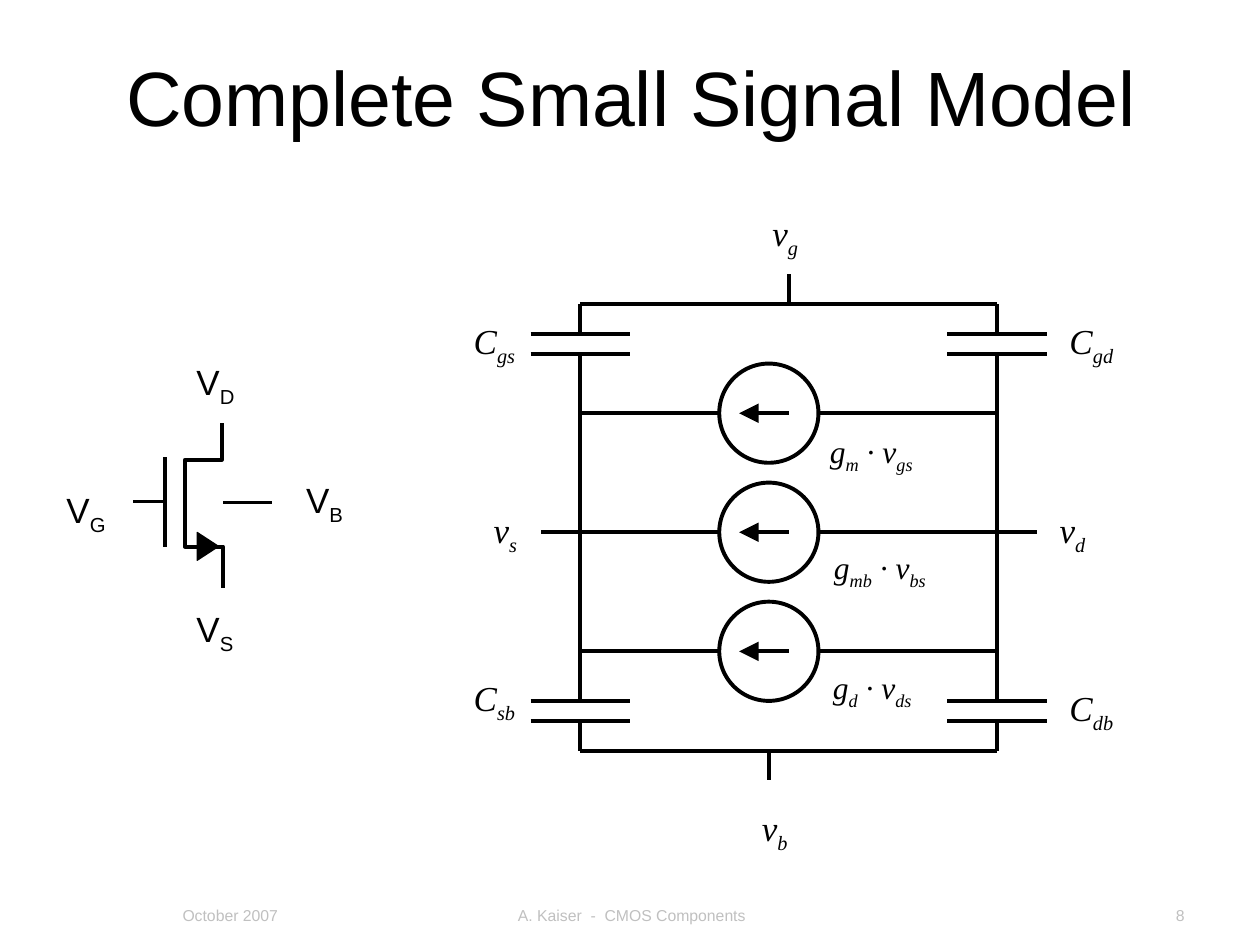
"""Build the slide showing the complete small signal model of a MOS transistor."""
from lxml import etree
from pptx import Presentation
from pptx.dml.color import RGBColor
from pptx.enum import shapes, text
from pptx.oxml import ns
from pptx.util import Cm, Pt

BLACK = RGBColor(0x00, 0x00, 0x00)
GREY = RGBColor(0xC0, 0xC0, 0xC0)
LINE_WIDTH = Pt(2.25)
ALIGN = text.PP_ALIGN

presentation = Presentation()
presentation.slide_width = Cm(25.4)
presentation.slide_height = Cm(19.05)
slide = presentation.slides.add_slide(presentation.slide_layouts[5])


def add_wire(x1, y1, x2, y2, arrow=False):
    """Draw a straight wire, with an arrowhead at its end on request."""
    wire = slide.shapes.add_connector(
        shapes.MSO_CONNECTOR.STRAIGHT, Cm(x1), Cm(y1), Cm(x2), Cm(y2))
    wire.line.color.rgb = BLACK
    wire.line.width = LINE_WIDTH
    properties = wire._element.spPr
    if arrow:
        etree.SubElement(properties.get_or_add_ln(), ns.qn("a:tailEnd"),
                         type="triangle", w="lg", len="lg")
    etree.SubElement(properties, ns.qn("a:effectLst"))


def add_text(left, top, width, height, runs, size, font, color=BLACK,
             italic=False, align=ALIGN.LEFT, wrap=True):
    """Add a text box whose runs alternate between normal and subscript."""
    box = slide.shapes.add_textbox(Cm(left), Cm(top), Cm(width), Cm(height))
    frame = box.text_frame
    frame.word_wrap = wrap
    if not wrap:
        frame.auto_size = text.MSO_AUTO_SIZE.SHAPE_TO_FIT_TEXT
    paragraph = frame.paragraphs[0]
    paragraph.alignment = align
    for index, content in enumerate(runs):
        run = paragraph.add_run()
        run.text = content
        run.font.name = font
        run.font.size = Pt(size)
        run.font.italic = italic
        run.font.color.rgb = color
        if index % 2:
            run._r.get_or_add_rPr().set("baseline", "-25000")


title = slide.shapes.title
title.left, title.top, title.width, title.height = Cm(1.3), Cm(0.33), Cm(22.86), Cm(3.18)
title.text_frame.vertical_anchor = text.MSO_ANCHOR.MIDDLE
title_paragraph = title.text_frame.paragraphs[0]
title_paragraph.alignment = ALIGN.CENTER
title_run = title_paragraph.add_run()
title_run.text = "Complete Small Signal Model"
title_run.font.name = "Arial"
title_run.font.size = Pt(44)
title_run.font.color.rgb = BLACK

for left, width, content, align in (
    (3.43, 4.88, "October 2007", ALIGN.LEFT),
    (8.71, 8.05, "A. Kaiser  -  CMOS Components", ALIGN.CENTER),
    (18.21, 5.92, "8", ALIGN.RIGHT),
):
    add_text(left, 18.14, width, 0.6, [content], 9, "Arial", GREY, align=align)

add_wire(3.33, 9.22, 3.33, 11.02)
add_wire(2.69, 10.11, 3.3, 10.11)
add_wire(4.5, 10.13, 5.49, 10.13)
channel_points = [(4.47, 8.53), (4.47, 9.27), (3.73, 9.27),
                  (3.73, 11.02), (4.5, 11.02), (4.5, 11.86)]
channel_points = [(Cm(x), Cm(y)) for x, y in channel_points]
builder = slide.shapes.build_freeform(*channel_points[0])
builder.add_line_segments(channel_points[1:], close=False)
channel = builder.convert_to_shape()
channel.shadow.inherit = False
channel.fill.background()
channel.line.color.rgb = BLACK
channel.line.width = LINE_WIDTH

source_arrow = slide.shapes.add_shape(
    shapes.MSO_SHAPE.ISOSCELES_TRIANGLE, Cm(3.91), Cm(10.8), Cm(0.56), Cm(0.43))
source_arrow.rotation = 90
source_arrow.shadow.inherit = False
source_arrow.fill.solid()
source_arrow.fill.fore_color.rgb = BLACK
source_arrow.line.color.rgb = BLACK
source_arrow.line.width = Pt(0.75)

LEFT, RIGHT, CENTER = 11.7, 20.1, 15.5
TOP, BOTTOM = 6.13, 15.13
RADIUS, LEAD = 1, 1.8

for row, overhang in ((8.33, 0), (10.73, 0.8), (13.13, 0)):
    circle = slide.shapes.add_shape(
        shapes.MSO_SHAPE.OVAL, Cm(CENTER - RADIUS), Cm(row - RADIUS),
        Cm(2 * RADIUS), Cm(2 * RADIUS))
    circle.shadow.inherit = False
    circle.fill.background()
    circle.line.color.rgb = BLACK
    circle.line.width = LINE_WIDTH
    add_wire(CENTER + 0.4, row, CENTER - 0.6, row, arrow=True)
    for side, rail in ((-1, LEFT), (1, RIGHT)):
        add_wire(CENTER + side * RADIUS, row, CENTER + side * LEAD, row)
        add_wire(CENTER + side * LEAD, row, rail + side * overhang, row)

for x in (LEFT, RIGHT):
    for y in (TOP, BOTTOM - 1.6):
        add_wire(x, y, x, y + 0.6)
        add_wire(x - 1, y + 0.6, x + 1, y + 0.6)
        add_wire(x - 1, y + 1, x + 1, y + 1)
        add_wire(x, y + 1, x, y + 1.6)
    add_wire(x, TOP + 1.6, x, BOTTOM - 1.6)

for y in (TOP, BOTTOM):
    add_wire(LEFT, y, RIGHT, y)
add_wire(CENTER + 0.4, TOP - 0.6, CENTER + 0.4, TOP)
add_wire(CENTER, BOTTOM, CENTER, BOTTOM + 0.6)

for left, top, width, first, second in (
    (16.48, 8.59, 2.24, "m", "gs"),
    (16.56, 10.92, 2.41, "mb", "bs"),
    (16.54, 13.34, 2.13, "d", "ds"),
):
    add_text(left, top, width, 1.12, ["g", first, " · v", second], 18,
             "Times New Roman", italic=True)

for left, top, width, symbol, subscript in (
    (15.32, 4.14, 1.02, "v", "g"),
    (9.7, 10.13, 1.02, "v", "s"),
    (15.11, 16.13, 1.02, "v", "b"),
    (21.11, 10.13, 1.02, "v", "d"),
    (9.3, 6.32, 1.4, "C", "gs"),
    (21.31, 6.32, 2, "C", "gd"),
    (21.31, 13.72, 2, "C", "db"),
    (9.3, 13.51, 2, "C", "sb"),
    (3.71, 12.12, 1.3, "V", "S"),
    (1.09, 9.73, 1.35, "V", "G"),
    (5.92, 9.53, 1.3, "V", "B"),
    (3.71, 7.14, 1.32, "V", "D"),
):
    terminal = symbol == "V"
    add_text(left, top, width, 1.22, [symbol, subscript], 20,
             "Arial" if terminal else "Times New Roman",
             italic=not terminal, wrap=symbol == "C")

presentation.save("out.pptx")
